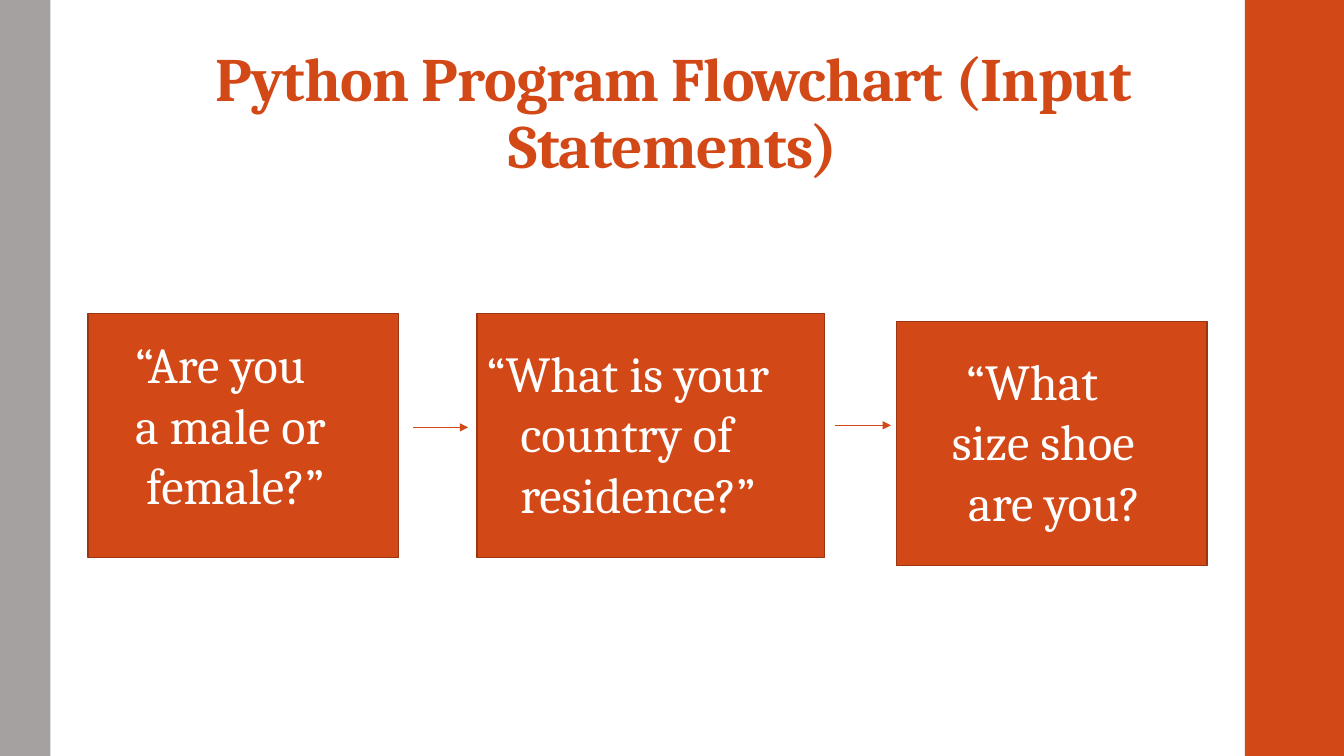
from dataclasses import dataclass

from lxml.etree import SubElement
from pptx import Presentation
from pptx.dml.color import RGBColor
from pptx.enum.shapes import MSO_CONNECTOR, MSO_SHAPE
from pptx.enum.text import MSO_ANCHOR, PP_ALIGN
from pptx.oxml.ns import qn
from pptx.shapes.autoshape import Shape
from pptx.slide import Slide
from pptx.text.text import TextFrame
from pptx.util import Pt

ORANGE = RGBColor(0xD3, 0x48, 0x17)
DARK_ORANGE = RGBColor(0x9C, 0x35, 0x11)
GRAY = RGBColor(0xA6, 0xA1, 0xA1)
WHITE = RGBColor(0xFF, 0xFF, 0xFF)
FONT = "Cambria"
SLIDE_WIDTH = 960
SLIDE_HEIGHT = 540
BOX_HEIGHT = 174.24
QUESTION_HEIGHT = 138.24


@dataclass(frozen=True)
class Line:
    text: str
    left_indent: float = 0
    right_indent: float = 0


@dataclass(frozen=True)
class Question:
    box_left: float
    box_top: float
    box_width: float
    text_left: float
    text_top: float
    text_width: float
    lines: tuple[Line, ...]
    alignment: PP_ALIGN = PP_ALIGN.LEFT


@dataclass(frozen=True)
class Arrow:
    start: float
    end: float
    y: float


QUESTIONS = (
    Question(63, 223.92, 221.76, 81.36, 234.72, 185.76,
             (Line("“Are you", 8), Line("a male or", 8), Line("female?”", 16))),
    Question(340.56, 223.92, 248.4, 340.56, 240.48, 257.04,
             (Line("“What is your"), Line("country of", 24), Line("residence?”", 24))),
    Question(640.44, 229.68, 221.76, 648.72, 246.24, 192.96,
             (Line("“What", 0, 16), Line("size shoe"), Line("are you?", 16)),
             PP_ALIGN.CENTER),
)
ARROWS = (Arrow(294.84, 334.44, 305.28), Arrow(596.52, 636.48, 303.84))


def add_rectangle(slide: Slide, left: float, top: float, width: float,
                  height: float, fill: RGBColor) -> Shape:
    rectangle = slide.shapes.add_shape(
        MSO_SHAPE.RECTANGLE, Pt(left), Pt(top), Pt(width), Pt(height))
    rectangle.shadow.inherit = False
    rectangle.fill.solid()
    rectangle.fill.fore_color.rgb = fill
    rectangle.line.fill.background()
    return rectangle


def add_text(slide: Slide, left: float, top: float, width: float, height: float,
             text: str, size: float, color: RGBColor) -> TextFrame:
    frame = slide.shapes.add_textbox(
        Pt(left), Pt(top), Pt(width), Pt(height)).text_frame
    frame.word_wrap = True
    frame.text = text
    for paragraph in frame.paragraphs:
        for run in paragraph.runs:
            run.font.name = FONT
            run.font.size = Pt(size)
            run.font.color.rgb = color
    return frame


def add_title(slide: Slide) -> None:
    frame = add_text(slide, 99.36, 23.04, 763.2, 110.16,
                     "Python Program Flowchart (Input Statements)", 44, ORANGE)
    frame.vertical_anchor = MSO_ANCHOR.BOTTOM
    frame.margin_top = Pt(2.16)
    frame.margin_bottom = Pt(3.6)
    heading = frame.paragraphs[0]
    heading.alignment = PP_ALIGN.CENTER
    heading.line_spacing = 0.9
    heading.runs[0].font.bold = True
    heading.runs[0].font._element.set("spc", "-50")


def add_question(slide: Slide, question: Question) -> None:
    box = add_rectangle(slide, question.box_left, question.box_top,
                        question.box_width, BOX_HEIGHT, ORANGE)
    box.line.color.rgb = DARK_ORANGE
    box.line.width = Pt(1.1)
    wording = "\n".join(line.text for line in question.lines)
    frame = add_text(slide, question.text_left, question.text_top,
                     question.text_width, QUESTION_HEIGHT, wording, 36, WHITE)
    for paragraph, line in zip(frame.paragraphs, question.lines):
        paragraph.alignment = question.alignment
        properties = paragraph._p.get_or_add_pPr()
        properties.set("marL", str(Pt(line.left_indent)))
        properties.set("marR", str(Pt(line.right_indent)))
        properties.set("indent", "0")


def add_arrow(slide: Slide, arrow: Arrow) -> None:
    connector = slide.shapes.add_connector(
        MSO_CONNECTOR.STRAIGHT, Pt(arrow.start), Pt(arrow.y), Pt(arrow.end), Pt(arrow.y))
    connector.line.color.rgb = ORANGE
    connector.line.width = Pt(0.75)
    SubElement(connector.line._get_or_add_ln(), qn("a:tailEnd"), type="triangle")
    SubElement(connector._element.spPr, qn("a:effectLst"))


def main() -> None:
    presentation = Presentation()
    presentation.slide_width = Pt(SLIDE_WIDTH)
    presentation.slide_height = Pt(SLIDE_HEIGHT)
    slide = presentation.slides.add_slide(presentation.slide_layouts[6])
    add_rectangle(slide, 889.2, 0, SLIDE_WIDTH - 889.2, SLIDE_HEIGHT, ORANGE)
    add_rectangle(slide, 0, 0, 36, SLIDE_HEIGHT, GRAY)
    add_title(slide)
    for arrow in ARROWS:
        add_arrow(slide, arrow)
    for question in QUESTIONS:
        add_question(slide, question)
    presentation.save("out.pptx")


if __name__ == "__main__":
    main()
